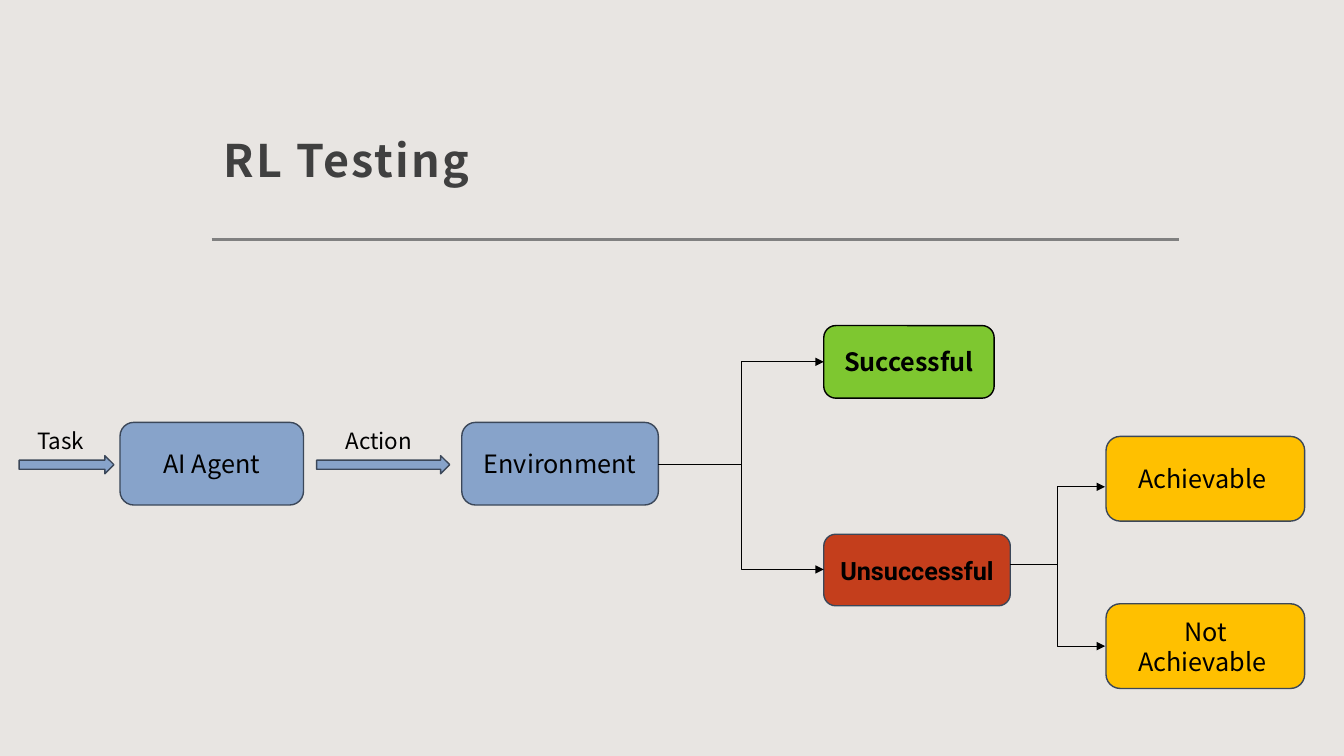
import pptx
import pptx.util
import pptx.dml.color
import pptx.enum.shapes
import pptx.enum.text
import pptx.oxml.ns
from lxml import etree
from pptx.util import Inches, Pt

SANS = "Noto Sans CJK JP"
BLUE, GREEN, RED, AMBER = "87A3CA", "7EC730", "C43E1C", "FFC000"
SLATE, BLACK = "3B4759", "000000"

TITLE = "RL Testing"
BOXES = [
    ("AI Agent", 1.19, 4.19, 1.82, 0.82, BLUE, SLATE, SANS, False),
    ("Environment", 4.58, 4.19, 1.95, 0.82, BLUE, SLATE, SANS, False),
    ("Successful", 8.17, 3.23, 1.69, 0.72, GREEN, BLACK, SANS, True),
    ("Unsuccessful", 8.17, 5.3, 1.85, 0.71, RED, SLATE, "Roboto", True),
    ("Achievable ", 10.97, 4.33, 1.97, 0.84, AMBER, SLATE, SANS, False),
    ("Not Achievable ", 10.97, 5.99, 1.97, 0.84, AMBER, SLATE, SANS, False),
]
ARROWS = [("Task", 0.19, 0.94, 0.27, 0.77), ("Action", 3.14, 1.32, 3.33, 0.98)]
BRANCHES = [
    (6.53, 4.61, 8.17, (3.59, 5.65)),
    (10.02, 5.6, 10.96, (4.83, 6.41)),
]


def color(value):
    return pptx.dml.color.RGBColor.from_string(value)


def style_text(tf, font, size, hue, bold=False):
    for p in tf.paragraphs:
        for r in p.runs:
            r.font.name = font
            r.font.size = Pt(size)
            r.font.bold = bold
            r.font.color.rgb = color(hue)


def add_block(s, kind, x, y, w, h, fill, line):
    sp = s.shapes.add_shape(kind, Inches(x), Inches(y), Inches(w), Inches(h))
    sp.shadow.inherit = False
    sp.fill.solid()
    sp.fill.fore_color.rgb = color(fill)
    sp.line.color.rgb = color(line)
    sp.line.width = Pt(1)
    return sp


def add_line(s, kind, x1, y1, x2, y2, hue, width, arrow=False):
    c = s.shapes.add_connector(kind, Inches(x1), Inches(y1), Inches(x2), Inches(y2))
    c.line.color.rgb = color(hue)
    c.line.width = Pt(width)
    if arrow:
        ln = c.line._get_or_add_ln()
        etree.SubElement(ln, pptx.oxml.ns.qn("a:tailEnd"), type="triangle")
    etree.SubElement(c._element.spPr, pptx.oxml.ns.qn("a:effectLst"))


def add_title(s):
    sp = s.shapes.title
    sp.left, sp.top = Inches(2.1), Inches(0.48)
    sp.width, sp.height = Inches(9.59), Inches(1.47)
    tf = sp.text_frame
    tf.text = TITLE
    tf.word_wrap = True
    tf.auto_size = pptx.enum.text.MSO_AUTO_SIZE.NONE
    tf.vertical_anchor = pptx.enum.text.MSO_ANCHOR.BOTTOM
    tf.margin_left = tf.margin_right = tf.margin_top = Inches(0.12)
    tf.margin_bottom = Inches(0.1)
    p = tf.paragraphs[0]
    p.alignment = pptx.enum.text.PP_ALIGN.LEFT
    p.line_spacing = 1.3
    style_text(tf, SANS, 32, "404040", True)
    p.runs[0].font._element.set("spc", "150")


def main():
    shapes = pptx.enum.shapes.MSO_SHAPE
    links = pptx.enum.shapes.MSO_CONNECTOR
    prs = pptx.Presentation()
    prs.slide_width, prs.slide_height = Inches(13.33), Inches(7.5)
    s = prs.slides.add_slide(prs.slide_layouts[5])
    s.background.fill.solid()
    s.background.fill.fore_color.rgb = color("E8E5E2")

    add_title(s)
    add_line(s, links.STRAIGHT, 2.1, 2.38, 11.69, 2.38, "808080", 2)

    for text, x, y, w, h, fill, line, font, bold in BOXES:
        sp = add_block(s, shapes.ROUNDED_RECTANGLE, x, y, w, h, fill, line)
        tf = sp.text_frame
        tf.text = text
        tf.word_wrap = True
        tf.vertical_anchor = pptx.enum.text.MSO_ANCHOR.MIDDLE
        tf.paragraphs[0].alignment = pptx.enum.text.PP_ALIGN.CENTER
        style_text(tf, font, 18, BLACK, bold)

    for x1, y1, x2, ends in BRANCHES:
        for y2 in ends:
            add_line(s, links.ELBOW, x1, y1, x2, y2, BLACK, 0.75, True)

    for text, x, w, label_x, label_w in ARROWS:
        add_block(s, shapes.RIGHT_ARROW, x, 4.52, w, 0.18, BLUE, SLATE)
        tb = s.shapes.add_textbox(Inches(label_x), Inches(4.19), Inches(label_w), Inches(0.37))
        tf = tb.text_frame
        tf.text = text
        tf.word_wrap = True
        tf.auto_size = pptx.enum.text.MSO_AUTO_SIZE.SHAPE_TO_FIT_TEXT
        style_text(tf, SANS, 16, BLACK)

    prs.save("out.pptx")


if __name__ == "__main__":
    main()
